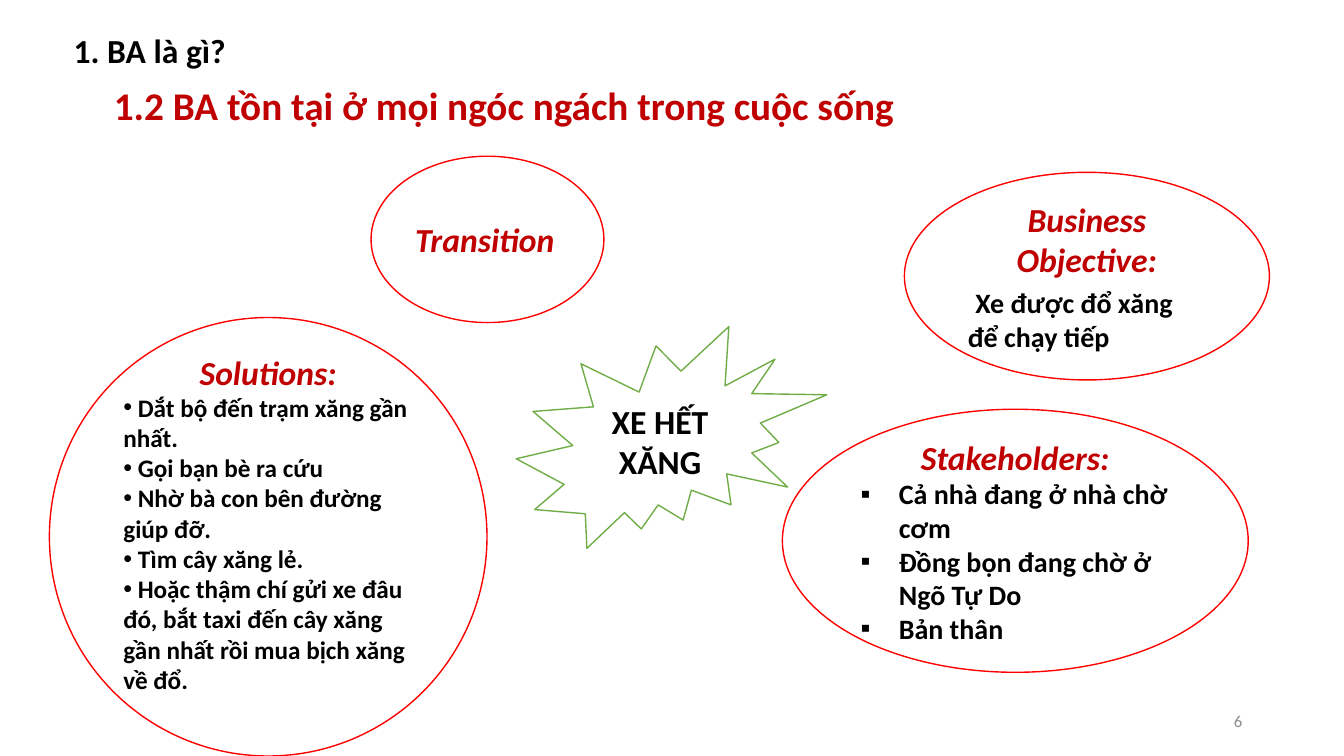
from lxml.etree import SubElement
from pptx import Presentation
from pptx.dml.color import RGBColor
from pptx.enum.shapes import MSO_SHAPE as Shape
from pptx.enum.text import MSO_ANCHOR as Anchor, MSO_AUTO_SIZE as AutoSize, PP_ALIGN as Align
from pptx.oxml.ns import qn
from pptx.util import Inches, Pt

COLORS = {"ink": "000000", "heading": "C00000", "oval": "FF0000",
          "burst": "70AD47", "paper": "FFFFFF", "number": "8C8C8C"}
SOLUTIONS = [
    " Dắt bộ đến trạm xăng gần nhất.",
    " Gọi bạn bè ra cứu",
    " Nhờ bà con bên đường giúp đỡ.",
    " Tìm cây xăng lẻ.",
    " Hoặc thậm chí gửi xe đâu đó, bắt taxi đến cây xăng gần nhất rồi mua bịch xăng về đổ.",
]
STAKEHOLDERS = ["Cả nhà đang ở nhà chờ cơm", "Đồng bọn đang chờ ở Ngõ Tự Do", "Bản thân"]


def color(name):
    return RGBColor.from_string(COLORS[name])


def write(para, text, size=24, ink="ink", bold=True, italic=False, align=Align.LEFT):
    """Add a formatted span of text to a paragraph."""
    para.alignment = align
    para.space_before = Pt(0)
    span = para.add_run()
    span.text = text
    span.font.name = "Calibri"
    span.font.size = Pt(size)
    span.font.bold = bold
    span.font.italic = italic
    span.font.color.rgb = color(ink)


def set_bullet(para, mark=None, indent=0):
    properties = para._p.get_or_add_pPr()
    properties.set("marL", str(Inches(indent)))
    properties.set("indent", str(-Inches(indent)))
    if mark:
        SubElement(properties, qn("a:buFont")).set("typeface", "Arial")
        SubElement(properties, qn("a:buChar")).set("char", mark)
    else:
        SubElement(properties, qn("a:buNone"))


class Page:
    def __init__(self, deck):
        self.slide = deck.slides.add_slide(deck.slide_layouts[1])

    def place(self, box, place, anchor=Anchor.TOP):
        box.left, box.top, box.width, box.height = map(Inches, place)
        frame = box.text_frame
        frame.word_wrap = True
        frame.auto_size = AutoSize.NONE
        frame.vertical_anchor = anchor
        return frame

    def heading(self, index, place, text, **style):
        para = self.place(self.slide.placeholders[index], place).paragraphs[0]
        write(para, text, **style)
        set_bullet(para)

    def label(self, place, text, **style):
        box = self.slide.shapes.add_textbox(*map(Inches, place))
        write(self.place(box, place, Anchor.MIDDLE).paragraphs[0], text, **style)

    def figure(self, kind, place, line, text, **style):
        box = self.slide.shapes.add_shape(kind, *map(Inches, place))
        box.shadow.inherit = False
        box.fill.solid()
        box.fill.fore_color.rgb = color("paper")
        box.line.color.rgb = color(line)
        box.line.width = Pt(1)
        frame = self.place(box, place, Anchor.MIDDLE)
        write(frame.paragraphs[0], text, **style)
        return frame

    def oval(self, place, text, align=Align.CENTER):
        return self.figure(Shape.OVAL, place, "oval", text,
                           ink="heading", italic=True, align=align)

    def bullets(self, frame, items, mark, size, indent=0):
        for item in items:
            para = frame.add_paragraph()
            write(para, item, size=size)
            set_bullet(para, mark, indent)


def main():
    deck = Presentation()
    deck.slide_width, deck.slide_height = Inches(13.33), Inches(7.5)
    page = Page(deck)
    page.heading(0, (0.63, 0.25, 4.06, 0.5), "1. BA là gì?")
    page.heading(1, (1.03, 0.76, 8.17, 0.57),
                 "1.2 BA tồn tại ở mọi ngóc ngách trong cuộc sống", size=28, ink="heading")
    page.figure(Shape.EXPLOSION2, (5.12, 3.24, 3.08, 2.2), "burst",
                "XE HẾT XĂNG", align=Align.CENTER)

    objective = page.oval((8.97, 1.71, 3.62, 2.06), "Business Objective:")
    para = objective.add_paragraph()
    write(para, " ", italic=True)
    write(para, "Xe được đổ xăng để chạy tiếp", size=20)

    stakeholders = page.oval((7.76, 4.06, 4.62, 2.61), "Stakeholders:")
    page.bullets(stakeholders, STAKEHOLDERS, "▪", size=20, indent=0.38)

    solutions = page.oval((0.49, 3.15, 4.34, 4.35), "Solutions:")
    solutions.margin_bottom = Inches(0.32)
    page.bullets(solutions, SOLUTIONS, "•", size=18)

    page.oval((3.68, 1.55, 2.31, 1.65), "Transition", align=Align.LEFT)
    page.label((9.42, 6.95, 3, 0.4), "6", size=12, ink="number", bold=False, align=Align.RIGHT)
    deck.save("out.pptx")


if __name__ == "__main__":
    main()
